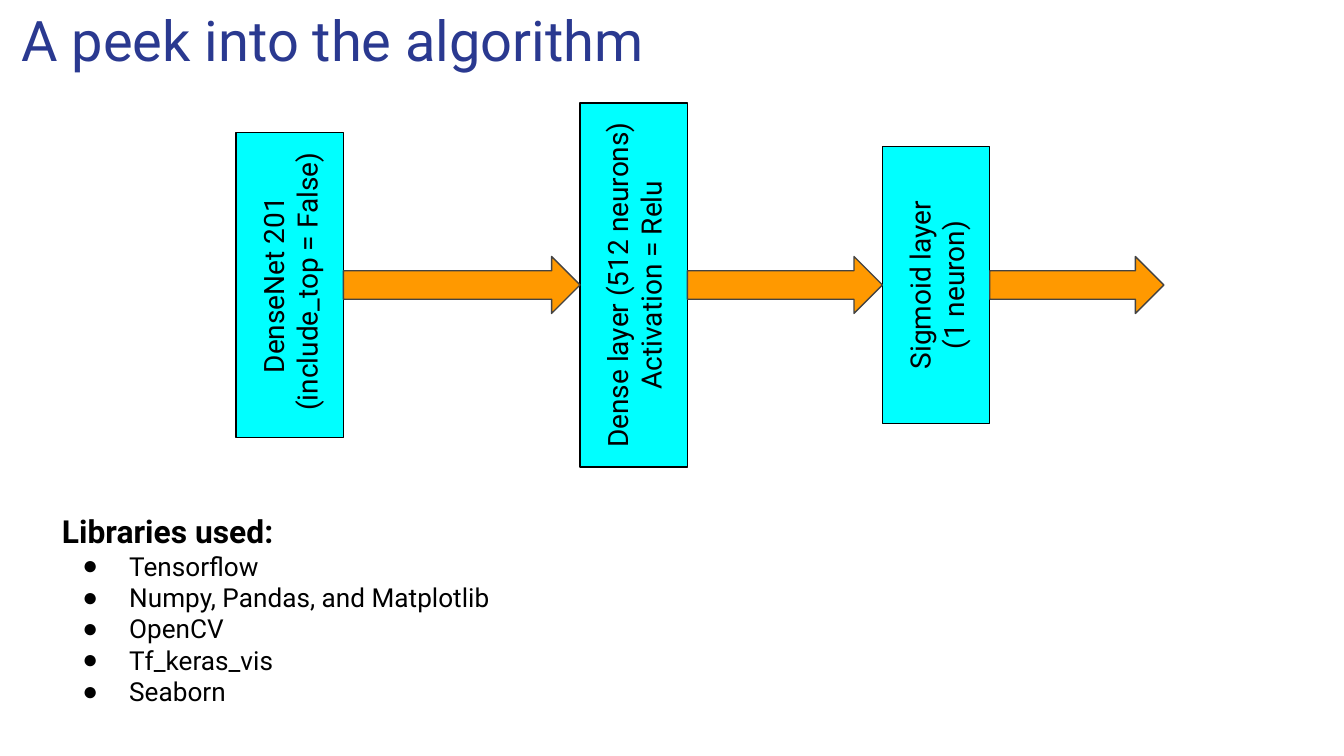
"""Build a slide that shows the layers of a network and the libraries used."""
from lxml import etree
from pptx import Presentation
from pptx.dml.color import RGBColor
from pptx.enum.shapes import MSO_SHAPE
from pptx.enum.text import MSO_ANCHOR, MSO_AUTO_SIZE, PP_ALIGN
from pptx.oxml.ns import qn
from pptx.util import Pt

RECT, ARROW = MSO_SHAPE.RECTANGLE, MSO_SHAPE.RIGHT_ARROW
TOP, MIDDLE = MSO_ANCHOR.TOP, MSO_ANCHOR.MIDDLE
LEFT, CENTER = PP_ALIGN.LEFT, PP_ALIGN.CENTER
FIXED = MSO_AUTO_SIZE.NONE

TITLE = "A peek into the algorithm"
LAYERS = [
    (155.2, 163.5, ["DenseNet 201", " (include_top = False)"]),
    (339.5, 195, ["Dense layer (512 neurons)", "Activation = Relu"]),
    (501.5, 148.5, ["Sigmoid layer", "(1 neuron)"]),
]
HEAD = "Libraries used:"
LIBS = ["Tensorflow", "Numpy, Pandas, and Matplotlib", "OpenCV",
        "Tf_keras_vis", "Seaborn"]

THEME = {
    "font": "Roboto", "title": "2A3990", "text": "000000",
    "layer": "00FFFF", "edge": "000000", "arrow": "FF9900", "rim": "434343",
    "title_pt": 30, "layer_pt": 15, "head_pt": 17, "list_pt": 14,
}
AXIS, DEPTH, THICK, END = 152.7, 57.5, 30.5, 623.5
INSET = 7.2


def color(key):
    return RGBColor.from_string(THEME[key])


def frame(shape, anchor):
    box = shape.text_frame
    box.word_wrap = True
    box.auto_size = FIXED
    box.vertical_anchor = anchor
    box.margin_left = box.margin_right = Pt(INSET)
    box.margin_top = box.margin_bottom = Pt(INSET)
    return box


def write(box, lines, size, ink="text", align=LEFT, bold=False):
    paras = []
    for line in lines:
        para = box.paragraphs[0]
        if para.runs:
            para = box.add_paragraph()
        para.alignment = align
        para.space_before = para.space_after = Pt(0)
        run = para.add_run()
        run.text = line
        font = run.font
        font.name, font.size, font.bold = THEME["font"], Pt(THEME[size]), bold
        font.color.rgb = color(ink)
        paras.append(para)
    return paras


def bullet(para, mark, left=0, hang=0):
    props = para._p.get_or_add_pPr()
    props.set("marL", str(Pt(left)))
    props.set("indent", str(Pt(-hang)))
    if mark:
        tint = etree.SubElement(props, qn("a:buClr"))
        etree.SubElement(tint, qn("a:srgbClr"), val=THEME["text"])
        etree.SubElement(props, qn("a:buChar"), char=mark)
    else:
        etree.SubElement(props, qn("a:buNone"))


def place(shape, left, top, width, height):
    shape.left, shape.top = Pt(left), Pt(top)
    shape.width, shape.height = Pt(width), Pt(height)


def block(slide, kind, mid, width, height, fill, line):
    shape = slide.shapes.add_shape(
        kind, Pt(mid - width / 2), Pt(AXIS - height / 2), Pt(width), Pt(height))
    shape.shadow.inherit = False
    shape.fill.solid()
    shape.fill.fore_color.rgb = color(fill)
    shape.line.color.rgb = color(line)
    shape.line.width = Pt(0.75)
    return shape


def main():
    deck = Presentation()
    deck.slide_width, deck.slide_height = Pt(720), Pt(405)
    slide = deck.slides.add_slide(deck.slide_layouts[1])
    title, body = slide.placeholders

    place(title, 4.3, -4.3, 407, 48)
    write(frame(title, TOP), [TITLE], "title_pt", "title")

    for mid, length, lines in LAYERS:
        layer = block(slide, RECT, mid, length, DEPTH, "layer", "edge")
        layer.rotation = 270
        write(frame(layer, MIDDLE), lines, "layer_pt", align=CENTER)

    starts = [mid + DEPTH / 2 for mid, _, _ in LAYERS]
    stops = [mid - DEPTH / 2 for mid, _, _ in LAYERS[1:]] + [END]
    for start, stop in zip(starts, stops):
        block(slide, ARROW, (start + stop) / 2, stop - start, THICK,
              "arrow", "rim")

    place(body, 26, 267, 324, 132)
    box = frame(body, TOP)
    for para in write(box, [HEAD], "head_pt", bold=True):
        bullet(para, None)
    for para in write(box, LIBS, "list_pt"):
        bullet(para, "●", 36, 25)

    deck.save("out.pptx")


if __name__ == "__main__":
    main()
